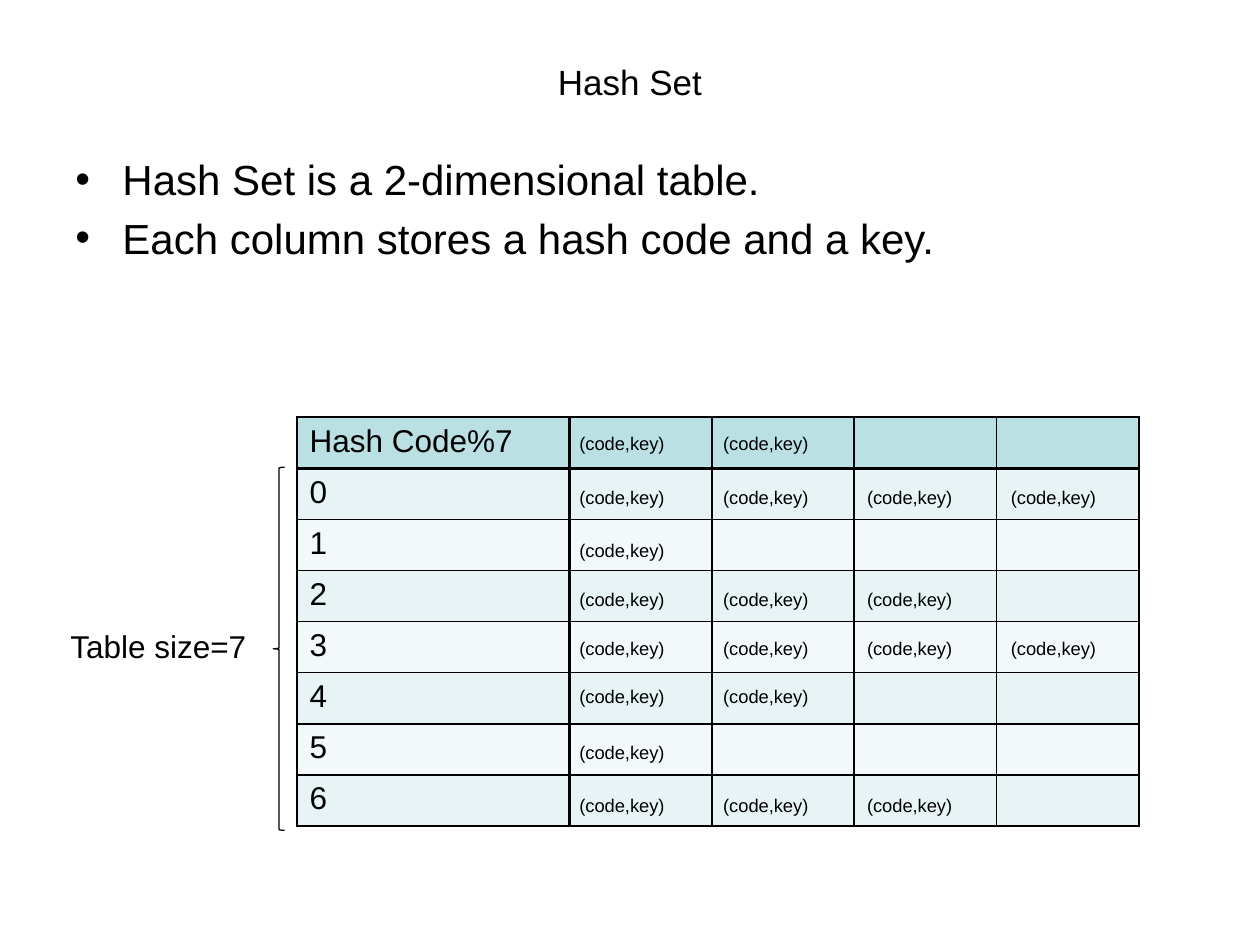
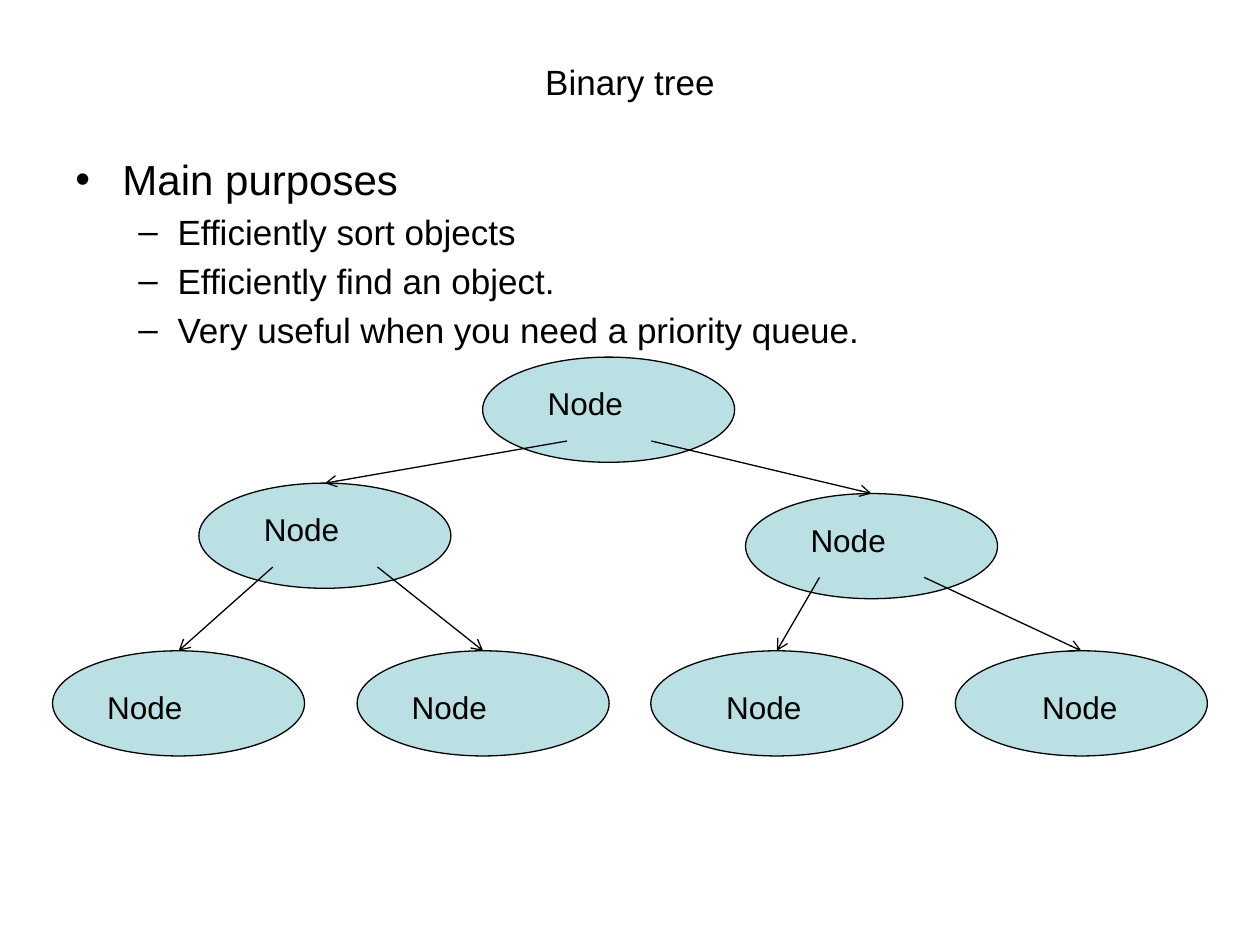
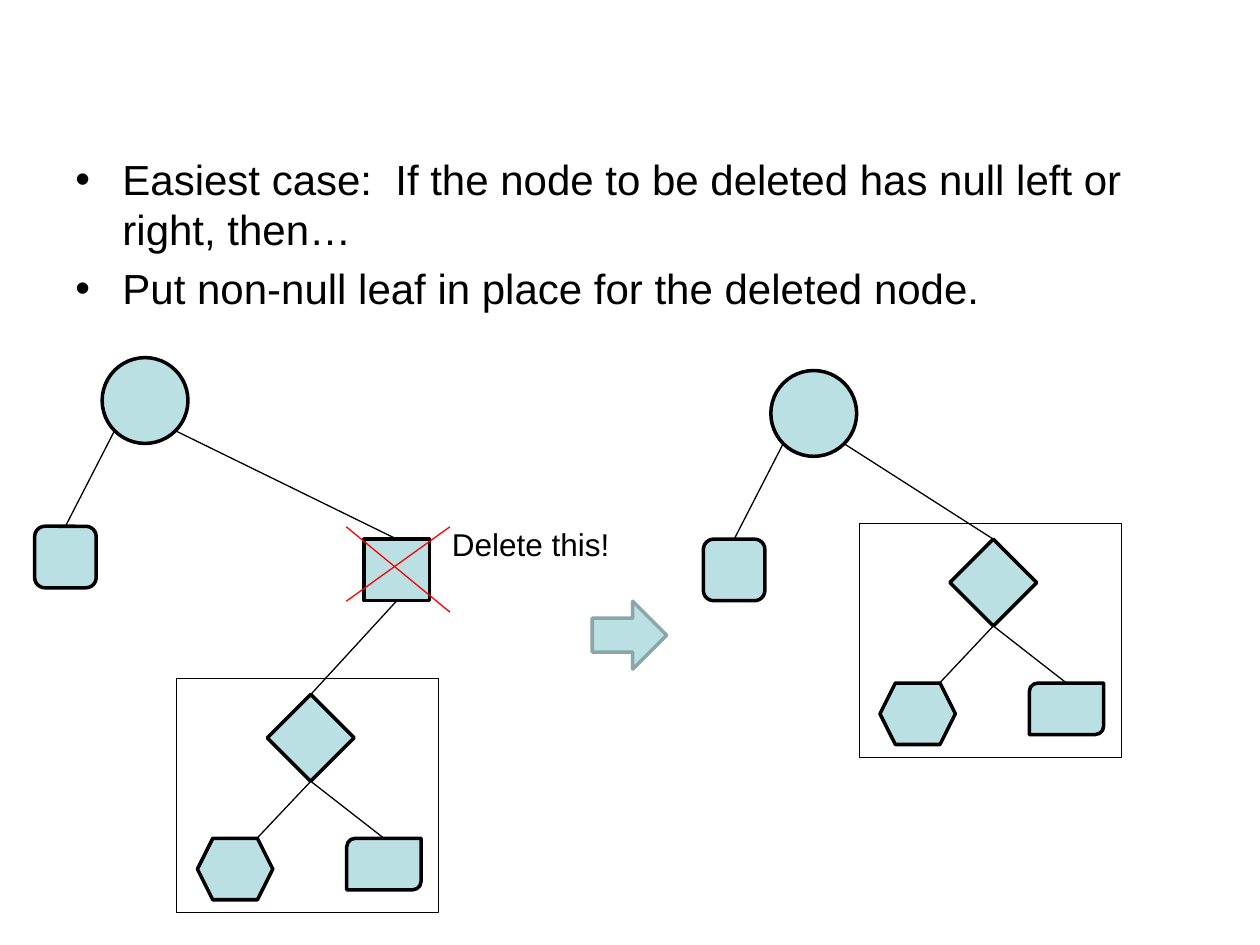
from lxml.etree import SubElement
from pptx import Presentation
from pptx.dml.color import RGBColor
from pptx.enum.shapes import MSO_CONNECTOR as Link, MSO_SHAPE as Shape
from pptx.enum.text import MSO_ANCHOR as Anchor, MSO_AUTO_SIZE as Fit, PP_ALIGN as Align
from pptx.oxml.ns import qn
from pptx.util import Cm, Pt

FONT = "Arial"
BLACK = RGBColor(0x00, 0x00, 0x00)
RED = RGBColor(0xFF, 0x00, 0x00)
TEAL = RGBColor(0xBB, 0xE0, 0xE3)
SLATE = RGBColor(0x8A, 0xA6, 0xA8)
PALE = RGBColor(0xE7, 0xF3, 0xF4)
MIST = RGBColor(0xF3, 0xF9, 0xFA)

# level: (bullet, font size, indent, hang)
LEVELS = [("•", 24, 0.95, 0.95), ("–", 20, 2.06, 0.79)]

HASH_BODY = [(0, "Hash Set is a 2-dimensional table."),
             (0, "Each column stores a hash code and a key.")]
TREE_BODY = [(0, "Main purposes"),
             (1, "Efficiently sort objects"),
             (1, "Efficiently find an object."),
             (1, "Very useful when you need a priority queue.")]
CASE_BODY = [(0, "Easiest case:  If the node to be deleted has null left or right, then…"),
             (0, "Put non-null leaf in place for the deleted node.")]

# row head, number of entries, top of the entries
BUCKETS = [("Hash Code%7", 2, 8.59), ("0", 4, 9.68), ("1", 1, 10.74),
           ("2", 3, 11.73), ("3", 4, 12.73), ("4", 2, 13.69),
           ("5", 1, 14.81), ("6", 3, 15.88)]
COLS = [5.49] + [2.87] * 4
ROW_H = 1.03

# left, top, label offset x, label offset y; children of i are 2i+1 and 2i+2
NODES = [(9.73, 7.2, 1.06, 0.42),
         (4.01, 9.74, 1.06, 0.42), (15.03, 9.95, 1.06, 0.42),
         (1.06, 13.12, 0.85, 0.63), (7.2, 13.12, 0.85, 0.63),
         (13.12, 13.12, 1.27, 0.63), (19.26, 13.12, 1.5, 0.63)]
NODE_W, NODE_H = 5.08, 2.12


def text(slide, words, x, y, w, h, size=18, wrap=True):
    box = slide.shapes.add_textbox(Cm(x), Cm(y), Cm(w), Cm(h))
    frame = box.text_frame
    frame.word_wrap = wrap
    frame.auto_size = Fit.SHAPE_TO_FIT_TEXT
    frame.text = words
    style(frame.paragraphs[0], size)
    return frame


def style(para, size):
    para.font.name = FONT
    para.font.size = Pt(size)
    para.font.color.rgb = BLACK


def shape(slide, kind, x, y, w, h, fill=TEAL, color=BLACK, width=2):
    item = slide.shapes.add_shape(kind, Cm(x), Cm(y), Cm(w), Cm(h))
    item.shadow.inherit = False
    if fill is None:
        item.fill.background()
    else:
        item.fill.solid()
        item.fill.fore_color.rgb = fill
    item.line.color.rgb = color
    item.line.width = Pt(width)
    return item


def line(slide, start, end, color=BLACK, arrow=False):
    """Draw from start to end; a shape given as an end is met at its top,
    one given as a start is left at its bottom."""
    a = start if isinstance(start, tuple) else (0, 0)
    b = end if isinstance(end, tuple) else (0, 0)
    item = slide.shapes.add_connector(Link.STRAIGHT, *map(Cm, a + b))
    if start is not a:
        item.begin_connect(start, 2)
    if end is not b:
        item.end_connect(end, 0)
    item.line.color.rgb = color
    item.line.width = Pt(0.75)
    if arrow:
        SubElement(item.line._get_or_add_ln(), qn("a:tailEnd"), type="arrow")
    SubElement(item._element.spPr, qn("a:effectLst"))


def page(deck, title, body, height):
    slide = deck.slides.add_slide(deck.slide_layouts[6])
    if title:
        frame = text(slide, title, 1.27, 0.76, 22.86, 1.78, 20)
        frame.auto_size = Fit.NONE
        frame.vertical_anchor = Anchor.MIDDLE
        frame.paragraphs[0].alignment = Align.CENTER
    frame = text(slide, "\n".join(words for _, words in body),
                 1.27, 2.97, 22.86, height)
    frame.auto_size = Fit.NONE
    for para, (level, _) in zip(frame.paragraphs, body):
        mark, size, indent, hang = LEVELS[level]
        style(para, size)
        para.level = level
        para.space_before = Pt(size * 0.2)
        props = para._p.get_or_add_pPr()
        props.set("marL", str(Cm(indent)))
        props.set("indent", str(-Cm(hang)))
        SubElement(props, qn("a:buFont"), typeface=FONT)
        SubElement(props, qn("a:buChar"), char=mark)
    return slide


def border(cell, row, col):
    """Thin black edges, thick below the head row and beside the first column."""
    thick = {"L": col == 1, "R": col == 0, "T": row == 1, "B": row == 0}
    props = cell._tc.get_or_add_tcPr()
    for side, heavy in thick.items():
        edge = SubElement(props, qn("a:ln" + side), w=str(Pt(2.25 if heavy else 1)))
        paint = SubElement(edge, qn("a:solidFill"))
        SubElement(paint, qn("a:srgbClr"), val=str(BLACK))


def hash_set(deck):
    slide = page(deck, "Hash Set", HASH_BODY, 4.6)
    table = slide.shapes.add_table(
        len(BUCKETS), len(COLS), Cm(5.99), Cm(8.41),
        Cm(sum(COLS)), Cm(ROW_H * len(BUCKETS))).table
    table.first_row = table.horz_banding = False
    for col, width in zip(table.columns, COLS):
        col.width = Cm(width)
    for r, (head, _, _) in enumerate(BUCKETS):
        table.rows[r].height = Cm(ROW_H)
        for c in range(len(COLS)):
            cell = table.cell(r, c)
            border(cell, r, c)
            cell.fill.solid()
            cell.fill.fore_color.rgb = TEAL if r == 0 else PALE if r % 2 else MIST
        first = table.cell(r, 0)
        first.text = head
        style(first.text_frame.paragraphs[0], 18)
    shape(slide, Shape.LEFT_BRACE, 5.51, 9.42, 0.23, 7.32, None, width=0.75)
    text(slide, "Table size=7", 1.17, 12.52, 4.29, 1.02)
    for _, count, top in BUCKETS:
        for c in range(count):
            text(slide, "(code,key)", 11.43 + 2.9 * c, top, 2.34, 0.74, 10.5, False)


def binary_tree(deck):
    slide = page(deck, "Binary tree", TREE_BODY, 14.05)
    ovals = [shape(slide, Shape.OVAL, x, y, NODE_W, NODE_H, width=0.75)
             for x, y, _, _ in NODES]
    for i, (x, y, _, _) in enumerate(NODES[:len(NODES) // 2]):
        for side, dx in enumerate((1.49, 3.6) if i else (1.7, 3.4), 1):
            line(slide, (x + dx, y + 1.69), ovals[2 * i + side], arrow=True)
    for x, y, dx, dy in NODES:
        text(slide, "Node", x + dx, y + dy, 2.97, 1.02)


def crown(slide, x, y, right):
    """Root circle with its left child, and a line to the right child."""
    shape(slide, Shape.OVAL, x, y, 1.73, 1.73)
    left = shape(slide, Shape.ROUNDED_RECTANGLE, x - 1.36, y + 3.4, 1.24, 1.24)
    line(slide, (x + 0.25, y + 1.47), left)
    line(slide, (x + 1.47, y + 1.47), right)


def branch(slide, x, y):
    """Framed subtree; returns its top shape."""
    top = shape(slide, Shape.DIAMOND, x + 1.83, y + 0.33, 1.75, 1.75)
    low = y + 3.23
    shape(slide, Shape.HEXAGON, x + 0.42, low, 1.52, 1.24)
    shape(slide, Shape.ROUND_2_DIAG_RECTANGLE, x + 3.43, low, 1.5, 1.04)
    for dx in (1.62, 4.18):
        line(slide, top, (x + dx, low))
    shape(slide, Shape.RECTANGLE, x, y, 5.28, 4.72, None, width=0.25)
    return top


def removal(deck):
    slide = page(deck, None, CASE_BODY, 14.05)
    doomed = shape(slide, Shape.RECTANGLE, 7.34, 10.87, 1.32, 1.24)
    crown(slide, 2.06, 7.21, doomed)
    line(slide, doomed, branch(slide, 3.56, 13.67))
    text(slide, "Delete this!", 8.86, 10.46, 5.72, 1.02)
    shape(slide, Shape.RIGHT_ARROW, 11.94, 12.12, 1.5, 1.37, color=SLATE)
    crown(slide, 15.54, 7.47, branch(slide, 17.32, 10.54))
    line(slide, (6.98, 10.62), (9.07, 12.34), RED)
    line(slide, (6.98, 12.12), (9.07, 10.62), RED)


def main():
    deck = Presentation()
    deck.slide_width, deck.slide_height = Cm(25.4), Cm(19.05)
    hash_set(deck)
    binary_tree(deck)
    removal(deck)
    deck.save("out.pptx")


if __name__ == "__main__":
    main()
